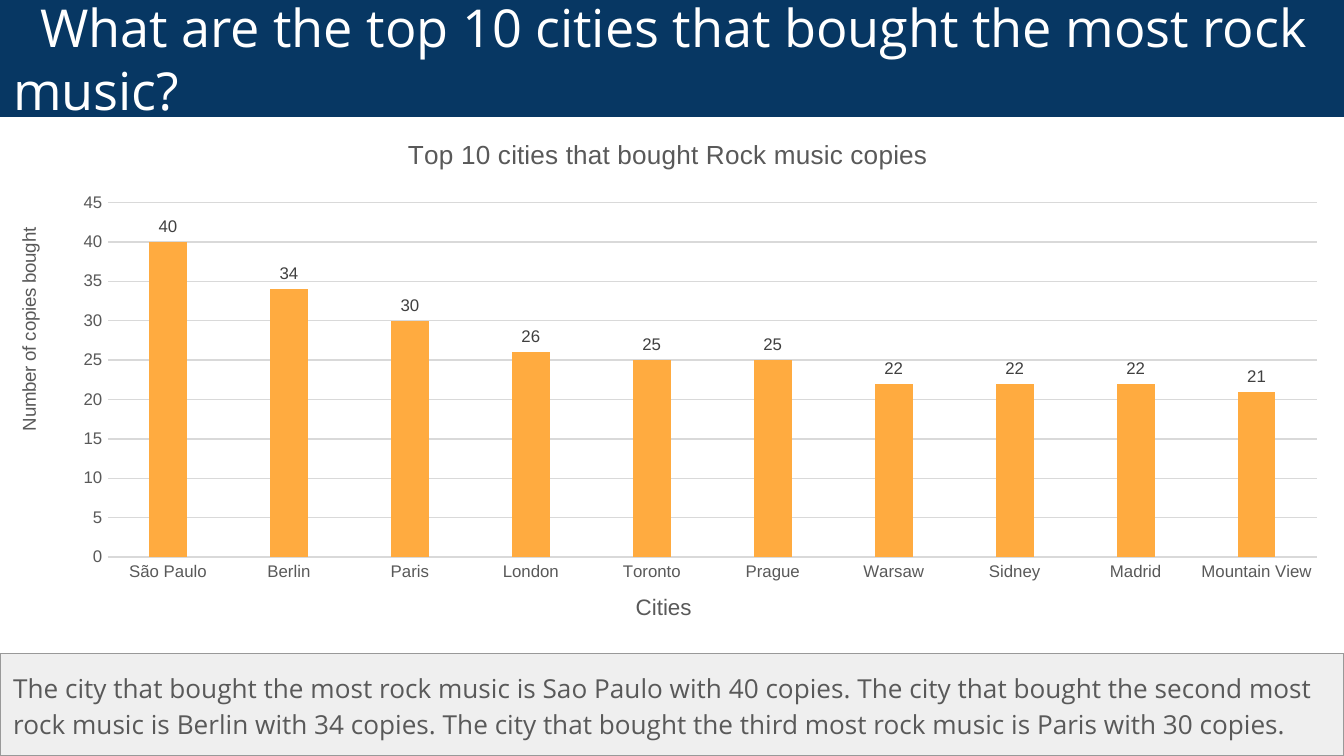
from pptx import Presentation
from pptx.chart.data import CategoryChartData
from pptx.dml.color import RGBColor
from pptx.enum.chart import XL_CHART_TYPE, XL_LABEL_POSITION, XL_TICK_MARK
from pptx.enum.shapes import MSO_SHAPE
from pptx.enum.text import MSO_ANCHOR, PP_ALIGN
from pptx.oxml import parse_xml
from pptx.oxml.ns import nsdecls, qn
from pptx.util import Inches, Pt

WIDTH = 10
HEIGHT = WIDTH * 9 / 16
BAND_HEIGHT, NOTE_HEIGHT = 0.87, 0.76
GREY, GRID = "595959", "D9D9D9"
SALES = {
    "São Paulo": 40, "Berlin": 34, "Paris": 30, "London": 26, "Toronto": 25,
    "Prague": 25, "Warsaw": 22, "Sidney": 22, "Madrid": 22, "Mountain View": 21,
}


def color(value):
    return RGBColor.from_string(value)


def style_font(font, size, value, name="Arial"):
    font.size, font.name, font.bold = Pt(size), name, False
    font.color.rgb = color(value)


def add_panel(page, box, fill, text, size, text_color, anchor):
    """Filled rectangle with one left-aligned paragraph."""
    panel = page.shapes.add_shape(MSO_SHAPE.RECTANGLE, *map(Inches, box))
    panel.shadow.inherit = False
    panel.fill.solid()
    panel.fill.fore_color.rgb = color(fill)
    panel.line.fill.background()
    frame = panel.text_frame
    frame.word_wrap = True
    frame.vertical_anchor = anchor
    frame.margin_left = frame.margin_right = Inches(0.1)
    frame.margin_top = frame.margin_bottom = Inches(0.1)
    para = frame.paragraphs[0]
    para.alignment = PP_ALIGN.LEFT
    span = para.add_run()
    span.text = text
    style_font(span.font, size, text_color, "Open Sans")
    return panel, para


def add_heading(page, box):
    _, para = add_panel(
        page, box, "073763",
        "What are the top 10 cities that bought the most rock music?",
        28, "FFFFFF", MSO_ANCHOR.MIDDLE)
    # First-line indent
    para._p.get_or_add_pPr().set("indent", str(Inches(0.2)))


def add_summary(page, box):
    panel, para = add_panel(
        page, box, "EFEFEF",
        "The city that bought the most rock music is Sao Paulo with 40 copies. "
        "The city that bought the second most rock music is Berlin with 34 copies. "
        "The city that bought the third most rock music is Paris with 30 copies.",
        14, GREY, MSO_ANCHOR.TOP)
    panel.line.color.rgb = color("999999")
    panel.line.width = Pt(0.75)
    para.line_spacing = 1.15
    para.space_after = Pt(16)


def manual_layout(x, y, size=None):
    """Layout element in fractions of the chart box."""
    parts = [("xMode", "edge"), ("yMode", "edge"), ("x", x), ("y", y)]
    if size:
        parts.insert(0, ("layoutTarget", "inner"))
        parts += [("w", size[0]), ("h", size[1])]
    body = "".join(f'<c:{tag} val="{value}"/>' for tag, value in parts)
    return parse_xml(f'<c:layout {nsdecls("c")}><c:manualLayout>{body}'
                     '</c:manualLayout></c:layout>')


def set_title(owner, text, size, x, y):
    owner.has_title = True
    title = owner.chart_title if hasattr(owner, "chart_title") else owner.axis_title
    span = title.text_frame.paragraphs[0].add_run()
    span.text = text
    style_font(span.font, size, GREY)
    element = title._element
    for old in element.findall(qn("c:layout")):
        element.remove(old)
    element.find(qn("c:tx")).addnext(manual_layout(x, y))
    return title


def add_sales_chart(page, box):
    data = CategoryChartData()
    data.categories = list(SALES)
    data.add_series("Series 1", list(SALES.values()))
    chart = page.shapes.add_chart(
        XL_CHART_TYPE.COLUMN_CLUSTERED, *map(Inches, box), data).chart
    chart.has_legend = False
    style_font(chart.font, 10, "000000")

    # Titles and plot area
    set_title(chart, "Top 10 cities that bought Rock music copies", 14, 0.3, 0.03)
    set_title(chart.category_axis, "Cities", 12, 0.47, 0.88)
    value_title = set_title(
        chart.value_axis, "Number of copies bought", 10, 0.01, 0.2)
    body = value_title.text_frame._txBody.find(qn("a:bodyPr"))
    body.set("rot", "-5400000")
    body.set("vert", "horz")
    plot_area = chart._chartSpace.chart.plotArea
    for old in plot_area.findall(qn("c:layout")):
        plot_area.remove(old)
    plot_area.insert(0, manual_layout(0.08, 0.16, (0.9, 0.66)))

    # Axes
    for axis in (chart.category_axis, chart.value_axis):
        axis.major_tick_mark = axis.minor_tick_mark = XL_TICK_MARK.NONE
        style_font(axis.tick_labels.font, 9, GREY)
    chart.value_axis.minimum_scale = 0
    chart.value_axis.maximum_scale = 45
    chart.value_axis.major_unit = 5
    chart.value_axis.format.line.fill.background()
    for line in (chart.category_axis.format.line,
                 chart.value_axis.major_gridlines.format.line):
        line.color.rgb = color(GRID)
        line.width = Pt(0.75)

    # Columns and value labels
    plot = chart.plots[0]
    plot.vary_by_categories = False
    plot.gap_width, plot.overlap = 219, -27
    series = plot.series[0]
    series.format.fill.solid()
    series.format.fill.fore_color.rgb = color("FFAB40")
    labels = series.data_labels
    labels.show_value = True
    labels.position = XL_LABEL_POSITION.OUTSIDE_END
    style_font(labels.font, 9, "404040")


def main():
    deck = Presentation()
    deck.slide_width, deck.slide_height = Inches(WIDTH), Inches(HEIGHT)
    page = deck.slides.add_slide(deck.slide_layouts[6])
    note_top = HEIGHT - NOTE_HEIGHT
    add_summary(page, (0, note_top, WIDTH, NOTE_HEIGHT))
    add_heading(page, (0, 0, WIDTH, BAND_HEIGHT))
    add_sales_chart(page, (0, BAND_HEIGHT, WIDTH, note_top - BAND_HEIGHT))
    deck.save("out.pptx")


if __name__ == "__main__":
    main()
